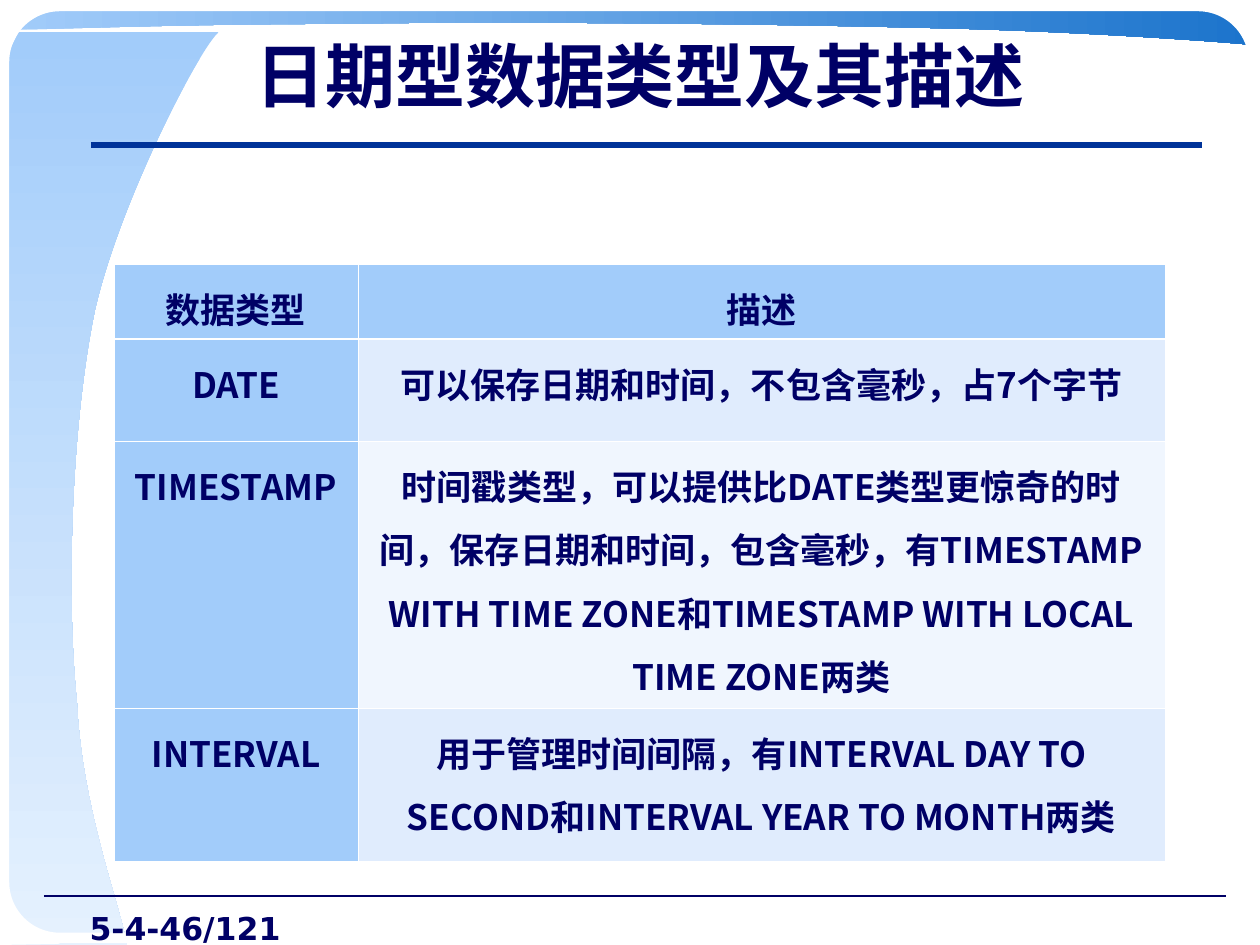
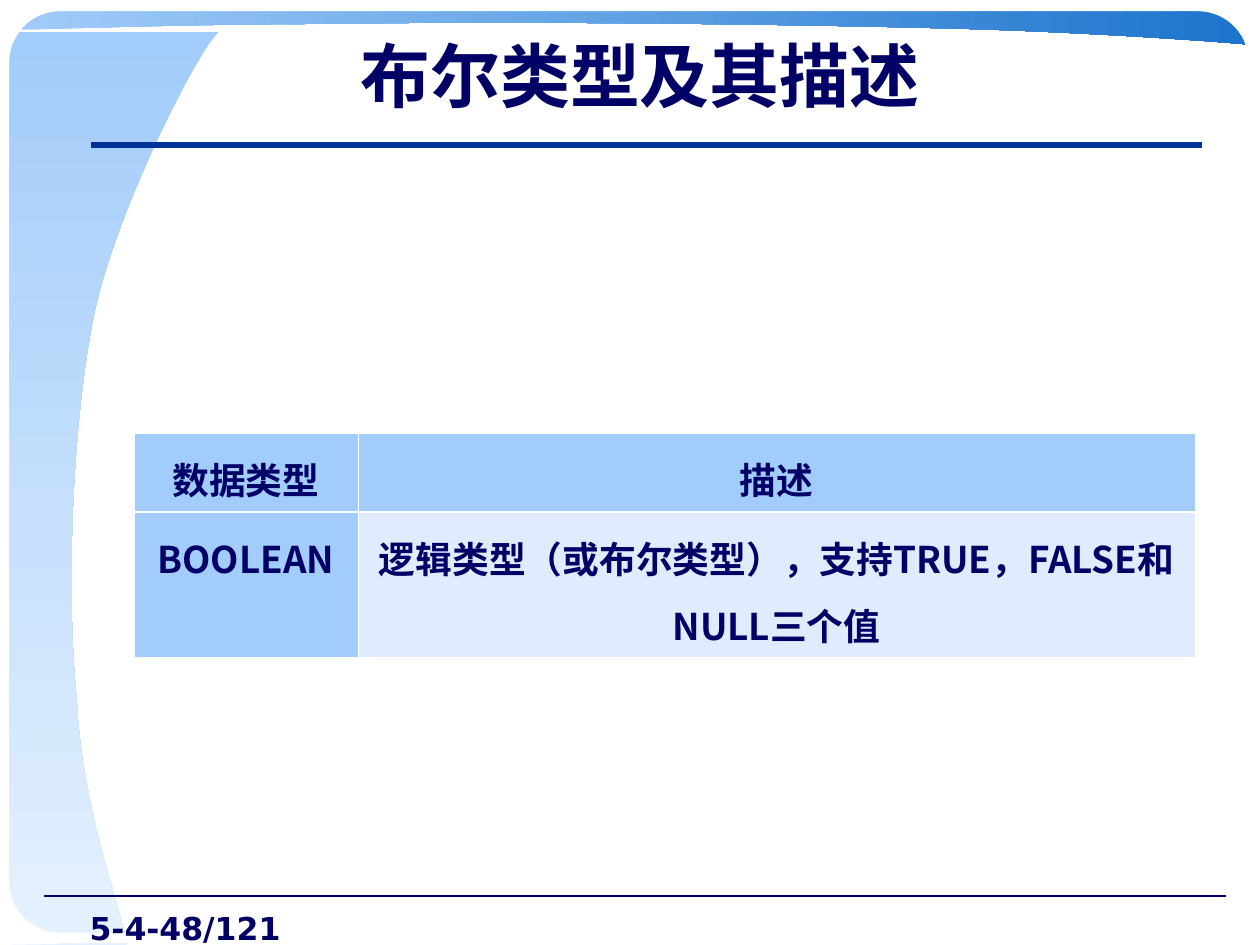
from lxml import etree
from pptx import Presentation
from pptx.dml.color import RGBColor
from pptx.enum.shapes import MSO_CONNECTOR, MSO_SHAPE
from pptx.enum.text import MSO_ANCHOR, PP_ALIGN
from pptx.oxml.ns import qn
from pptx.util import Pt

PX = 914400 / 126
SLIDE_W, SLIDE_H = 1260, 945
BLANK_LAYOUT = 6

STRAIGHT = MSO_CONNECTOR.STRAIGHT
ROUNDED = MSO_SHAPE.ROUNDED_RECTANGLE
MIDDLE, TOP = MSO_ANCHOR.MIDDLE, MSO_ANCHOR.TOP
CENTER, RIGHT = PP_ALIGN.CENTER, PP_ALIGN.RIGHT

NAVY = RGBColor(0x00, 0x00, 0x66)
RULE_BLUE = RGBColor(0x00, 0x33, 0x99)
SKY = RGBColor(0xA2, 0xCC, 0xFA)
PALE = RGBColor(0xE5, 0xF1, 0xFE)
DEEP = RGBColor(0x1C, 0x74, 0xCC)
ROW_FILLS = RGBColor(0xE0, 0xEC, 0xFD), RGBColor(0xF0, 0xF6, 0xFE)
WHITE = RGBColor(0xFF, 0xFF, 0xFF)

CJK_FONT = "Noto Sans CJK SC"
NUMBER_FONT = "DejaVu Sans"
THIN, THICK = 0.45, 1.47

LEFT_BAND = [(127, 945), (120, 905, 82, 809, 77, 703), (66, 597, 71, 425, 95, 310),
             (120, 200, 202, 44, 219, 32), (1, 32), (0, 945)]
TOP_BAND = [(9, 30), (64, 29, 188, 24, 341, 24), (486, 21, 771, 24, 927, 28),
            (1076, 31, 1237, 43, 1252, 45), (1254, 9), (9, 9)]
BOTTOM_LEFT = [(60, 944), (24, 926), (6, 907), (0, 879), (0, 945)]
TOP_LEFT = [(0, 69), (5, 62, 16, 33, 26, 21), (35, 10, 63, 5, 60, 0), (0, 1)]
BOTTOM_RIGHT = [(1259, 882), (1244, 914), (1223, 934), (1205, 945), (1260, 944)]
TOP_RIGHT = [(1198, 1), (1205, 4, 1225, 3, 1242, 21),
             (1259, 40, 1256, 76, 1259, 72), (1259, 1)]

HEADER = ("数据类型", "描述")
DATE_ROWS = [
    HEADER,
    ("DATE", "可以保存日期和时间，不包含毫秒，占7个字节"),
    ("TIMESTAMP", "时间戳类型，可以提供比DATE类型更惊奇的时间，保存日期和时间，包含毫秒，"
                  "有TIMESTAMP WITH TIME ZONE和TIMESTAMP WITH LOCAL TIME ZONE两类"),
    ("INTERVAL", "用于管理时间间隔，有INTERVAL DAY TO SECOND和"
                 "INTERVAL YEAR TO MONTH两类"),
]
BOOLEAN_ROWS = [
    HEADER,
    ("BOOLEAN", "逻辑类型（或布尔类型），支持TRUE，FALSE和NULL三个值"),
]


def px(n):
    """Turn pixels into EMU."""
    return round(n * PX)


def style_paragraph(p, size, font, align):
    """Set the bold navy style shared by all text."""
    p.alignment = align
    f = p.font
    f.size, f.bold, f.name = Pt(size), True, font
    f.color.rgb = NAVY
    props = p._p.get_or_add_pPr()
    props.set("hangingPunct", "0")
    etree.SubElement(props.find(qn("a:defRPr")), qn("a:ea"), typeface=font)


def add_text(s, box, text, size, font, align, anchor):
    """Add a one-paragraph text box."""
    tf = s.shapes.add_textbox(*map(px, box)).text_frame
    tf.word_wrap = True
    tf.vertical_anchor = anchor
    p = tf.paragraphs[0]
    p.text = text
    style_paragraph(p, size, font, align)


def add_rule(s, left, right, y, color, width):
    """Draw a horizontal line."""
    line = s.shapes.add_connector(STRAIGHT, px(left), px(y), px(right), px(y))
    line.line.color.rgb = color
    line.line.width = Pt(width)
    etree.SubElement(line._element.spPr, qn("a:effectLst"))


def bend(sp, outline):
    """Join the three segments of each curve step into one cubic curve."""
    segments = iter(list(sp._element.iter(qn("a:lnTo"))))
    for step in outline[1:]:
        parts = [next(segments) for _ in range(len(step) // 2)]
        if len(parts) == 3:
            curve = etree.Element(qn("a:cubicBezTo"))
            parts[0].addprevious(curve)
            for part in parts:
                curve.append(part[0])
                part.getparent().remove(part)


def add_outline(s, outline):
    """Add a closed freeform without line or shadow."""
    points = [(px(step[i]), px(step[i + 1]))
              for step in outline for i in range(0, len(step), 2)]
    builder = s.shapes.build_freeform(*points[0])
    builder.add_line_segments(points[1:], close=True)
    sp = builder.convert_to_shape()
    bend(sp, outline)
    sp.shadow.inherit = False
    sp.line.fill.background()
    return sp


def add_band(s, outline, end_color, angle):
    """Add a freeform with a gradient from sky blue."""
    fill = add_outline(s, outline).fill
    fill.gradient()
    fill.gradient_angle = angle
    for stop, position, color in zip(fill.gradient_stops, (0, 1), (SKY, end_color)):
        stop.position = position
        stop.color.rgb = color


def add_corner(s, outline):
    """Cover a slide corner in white."""
    fill = add_outline(s, outline).fill
    fill.solid()
    fill.fore_color.rgb = WHITE


def add_frame(s):
    """Draw the rounded white frame of the slide."""
    sp = s.shapes.add_shape(ROUNDED, px(4), px(6), px(1250), px(932))
    sp.adjustments[0] = 0.06
    sp.shadow.inherit = False
    sp.fill.background()
    sp.line.color.rgb = WHITE
    sp.line.width = Pt(6)


def set_borders(cell, top, bottom):
    """Give a cell white borders."""
    props = cell._tc.get_or_add_tcPr()
    for side, width in zip("LRTB", (THIN, THIN, top, bottom)):
        ln = etree.SubElement(props, qn(f"a:ln{side}"), w=str(Pt(width)))
        fill = etree.SubElement(ln, qn("a:solidFill"))
        etree.SubElement(fill, qn("a:srgbClr"), val=str(WHITE))


def add_type_table(s, left, top, widths, heights, rows, size):
    """Add a table of data types and their descriptions."""
    frame = s.shapes.add_table(len(rows), len(widths), px(left), px(top),
                               px(sum(widths)), px(sum(heights)))
    table = frame.table
    table.horz_banding = False
    for column, width in zip(table.columns, widths):
        column.width = px(width)
    for i, (height, texts) in enumerate(zip(heights, rows)):
        table.rows[i].height = px(height)
        for j, text in enumerate(texts):
            cell = table.cell(i, j)
            cell.margin_left = cell.margin_right = px(10)
            cell.margin_top = cell.margin_bottom = px(6)
            set_borders(cell, THICK if i == 1 else THIN, THICK if i == 0 else THIN)
            cell.fill.solid()
            cell.fill.fore_color.rgb = SKY if i == 0 or j == 0 else ROW_FILLS[(i - 1) % 2]
            p = cell.text_frame.paragraphs[0]
            p.text = text
            p.line_spacing = 1.25
            style_paragraph(p, size, CJK_FONT, CENTER)


def add_slide(prs, title, number):
    """Add a slide with bands, frame, rules, title and number."""
    s = prs.slides.add_slide(prs.slide_layouts[BLANK_LAYOUT])
    add_band(s, LEFT_BAND, PALE, 270)
    add_band(s, TOP_BAND, DEEP, 0)
    add_rule(s, 44, 1226, 896, NAVY, 0.75)
    add_corner(s, BOTTOM_LEFT)
    add_frame(s)
    for corner in (TOP_LEFT, BOTTOM_RIGHT, TOP_RIGHT):
        add_corner(s, corner)
    add_rule(s, 91, 1202, 145, RULE_BLUE, 3)
    add_text(s, (0, 903, 293, 43), f"5-4-{number}/121", 18, NUMBER_FONT, RIGHT, TOP)
    add_text(s, (134, 15, 1012, 120), title, 40, CJK_FONT, CENTER, MIDDLE)
    return s


def main():
    """Build and save the presentation."""
    prs = Presentation()
    prs.slide_width, prs.slide_height = px(SLIDE_W), px(SLIDE_H)
    s = add_slide(prs, "日期型数据类型及其描述", 46)
    add_type_table(s, 114, 264, (244, 807), (75, 102, 267, 153), DATE_ROWS, 20)
    s = add_slide(prs, "布尔类型及其描述", 48)
    add_type_table(s, 134, 433, (224, 837), (79, 145), BOOLEAN_ROWS, 21)
    prs.save("out.pptx")


if __name__ == "__main__":
    main()
